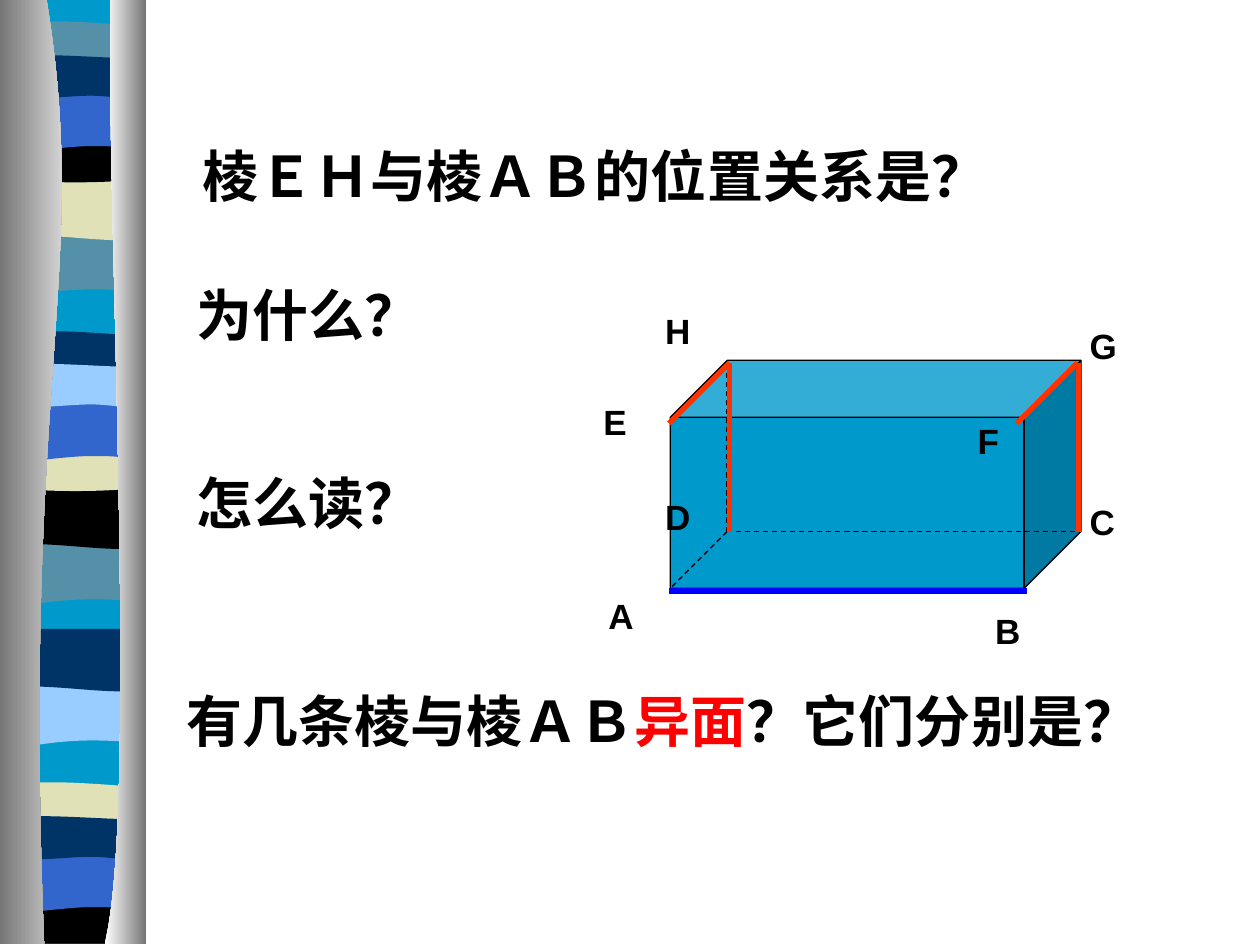
"""Build a slide asking about skew edges of a box, beside a striped ribbon."""
from typing import NamedTuple

from lxml.etree import SubElement
from pptx import Presentation
from pptx.dml.color import RGBColor
from pptx.enum.dml import MSO_LINE
from pptx.enum.shapes import MSO_CONNECTOR, MSO_SHAPE
from pptx.enum.text import MSO_ANCHOR, PP_ALIGN
from pptx.oxml.ns import qn
from pptx.util import Inches, Pt

HEX = {
    "black": "000000", "white": "FFFFFF", "grey": "767676", "red": "FF0000",
    "orange": "FF3300", "blue": "0000FF", "cyan": "0099CC", "teal": "5490A8",
    "sand": "E1E1B7", "royal": "3366CC", "navy": "003366", "sky": "99CCFF",
}
HAN, LATIN = "Noto Sans CJK SC", "Arial"
LEFT, RIGHT, FOOT = 0.05, 1.14, 7.49
UNITS = 1000

Point = tuple[float, float]
Part = tuple[Point, ...]


class Motif(NamedTuple):
    """Edges of a band, measured from its top: lower runs left, upper runs right."""
    depth: float
    lower: tuple[Part, ...] = ()
    upper: tuple[Part, ...] = (((RIGHT, 0),),)


class Band(NamedTuple):
    """One stripe of the ribbon."""
    motif: str
    top: float
    hue: str


class Edge(NamedTuple):
    """A straight line of the solid."""
    start: Point
    end: Point
    hue: str = "black"
    width: float = 0.75
    dash: bool = False


class Label(NamedTuple):
    """A letter at a corner of the solid."""
    text: str
    left: float
    top: float


class Line(NamedTuple):
    """A question made of runs with their colours."""
    runs: tuple[tuple[str, str], ...]
    left: float
    top: float
    width: float
    height: float = 0.64


CREST = ((0.72, 0.05), (0.92, 0), (RIGHT, 0))
MOTIFS = {
    "swell": Motif(0.47, (((0.39, 0.39), (0.23, 0.55), (LEFT, 0.47)),)),
    "tilt": Motif(0.47, (((0.96, 0.55), (0.39, 0.42), (LEFT, 0.47)),)),
    "thin": Motif(0.24, (((0.96, 0.29), (0.23, 0.29), (LEFT, 0.24)),),
                  (((0.12, -0.05), (0.29, -0.04), (0.47, -0.04)),
                   ((0.65, -0.04), (1, -0.01), (RIGHT, 0)))),
    "sag": Motif(0.33, (((0.96, 0.38), (0.24, 0.38), (LEFT, 0.33)),), (CREST,)),
    "arch": Motif(0.47, (((0.97, 0.42), (0.9, 0.42), (0.72, 0.42)),
                         ((0.54, 0.42), (0.22, 0.47), (LEFT, 0.47)))),
    "wave": Motif(0.3, (((1.07, 0.35), (0.9, 0.3), (0.72, 0.3)),
                        ((0.54, 0.3), (0.17, 0.35), (LEFT, 0.3))),
                  (((0.21, -0.05), (0.79, 0), (0.97, 0)), ((RIGHT, 0),))),
    "base": Motif(0.37, (((LEFT, 0.37),),), (CREST,)),
}
BANDS = (
    Band("swell", 1.85, "teal"), Band("tilt", 1.41, "sand"),
    Band("thin", 0.21, "teal"), Band("sag", 1.08, "black"),
    Band("arch", 0.74, "royal"), Band("wave", 0.46, "navy"),
    Band("swell", 4.31, "teal"), Band("tilt", 3.86, "black"),
    Band("thin", 2.67, "navy"), Band("sag", 3.53, "sand"),
    Band("arch", 3.2, "royal"), Band("wave", 2.91, "sky"),
    Band("swell", 5.43, "sky"), Band("tilt", 4.99, "navy"),
    Band("thin", 6.25, "sand"), Band("base", 7.12, "black"),
    Band("arch", 6.78, "royal"), Band("wave", 6.5, "navy"),
)
HIDDEN = tuple(Edge((5.77, 4.22), end, dash=True)
               for end in ((5.77, 2.86), (8.58, 4.22), (5.32, 4.67)))
MARKED = (
    Edge((5.79, 2.88), (5.79, 4.22), "orange", 3),
    Edge((8.56, 2.88), (8.56, 4.22), "orange", 3),
    Edge((5.31, 3.36), (5.79, 2.88), "orange", 3),
    Edge((8.07, 3.36), (8.55, 2.88), "orange", 3),
    Edge((5.31, 4.69), (8.15, 4.69), "blue", 3),
)
LABELS = (
    Label("A", 4.73, 4.67), Label("C", 8.55, 3.92), Label("B", 7.8, 4.79),
    Label("D", 5.18, 3.88), Label("F", 7.66, 3.28), Label("E", 4.69, 3.13),
    Label("H", 5.18, 2.41), Label("G", 8.55, 2.53),
)
TITLE = Line((("棱ＥＨ与棱ＡＢ的位置关系是？", "black"),), 1.51, 1.07, 6.95)
ASKS = (
    Line((("为什么？", "black"),), 1.46, 2.18, 1.9, 1.17),
    Line((("怎么读？", "black"),), 1.46, 3.67, 2.68),
    Line((("有几条棱与棱ＡＢ", "black"), ("异面", "red"),
          ("？它们分别是？", "black")), 1.38, 5.4, 8.11),
)


def tint(name: str) -> RGBColor:
    """Return a named colour."""
    return RGBColor.from_string(HEX[name])


def outline(slide, start: Point, parts: list[Part], top: float = 0):
    """Draw a closed shape of lines (one point) and curves (three points)."""
    dots = [(round(x * UNITS), round((y + top) * UNITS))
            for part in [(start,), *parts] for x, y in part]
    pen = slide.shapes.build_freeform(*dots[0], scale=Inches(1) / UNITS)
    pen.add_line_segments(dots[1:], close=True)
    shape = pen.convert_to_shape()
    steps = iter(list(shape._element.iter(qn("a:lnTo"))))
    for part in parts:
        first, *rest = [next(steps) for _ in part]
        if rest:
            first.tag = qn("a:cubicBezTo")
        for step in rest:
            first.append(step[0])
            step.getparent().remove(step)
    shape.shadow.inherit = False
    shape.line.fill.background()
    return shape


def stripe(slide, band: Band) -> None:
    """Draw one band of the ribbon."""
    motif = MOTIFS[band.motif]
    parts = [((RIGHT, motif.depth),), *motif.lower, ((LEFT, 0),), *motif.upper]
    shape = outline(slide, (RIGHT, 0), parts, band.top)
    shape.fill.solid()
    shape.fill.fore_color.rgb = tint(band.hue)


def curtain(slide, start: Point, curve: Part, side: float,
            hues: tuple[str, str]) -> None:
    """Draw a shaded panel at the side of the ribbon."""
    fill = outline(slide, start, [curve, ((side, FOOT),), ((side, 0),)]).fill
    fill.gradient()
    fill.gradient_angle = 0
    for stop, hue in zip(fill.gradient_stops, hues):
        stop.color.rgb = tint(hue)


def stroke(slide, edge: Edge) -> None:
    """Draw one straight edge."""
    ends = [Inches(v) for v in edge.start + edge.end]
    line = slide.shapes.add_connector(MSO_CONNECTOR.STRAIGHT, *ends)
    line.line.color.rgb = tint(edge.hue)
    line.line.width = Pt(edge.width)
    if edge.dash:
        line.line.dash_style = MSO_LINE.DASH
    SubElement(line._element.spPr, qn("a:effectLst"))


def write(box, runs: tuple[tuple[str, str], ...], size: int, face: str) -> None:
    """Fill a box with bold runs."""
    frame = box.text_frame
    frame.word_wrap = True
    frame.vertical_anchor = MSO_ANCHOR.TOP
    para = frame.paragraphs[0]
    para.alignment = PP_ALIGN.LEFT
    for text, hue in runs:
        run = para.add_run()
        run.text = text
        font = run.font
        font.size, font.bold, font.name = Pt(size), True, face
        font.color.rgb = tint(hue)
        SubElement(run._r.get_or_add_rPr(), qn("a:ea"), typeface=face)


def ask(box, line: Line) -> None:
    """Place a question and give it a hanging indent."""
    box.left, box.top = Inches(line.left), Inches(line.top)
    box.width, box.height = Inches(line.width), Inches(line.height)
    write(box, line.runs, 32, HAN)
    props = box.text_frame.paragraphs[0]._p.get_or_add_pPr()
    props.set("marL", str(Inches(0.67)))
    props.set("indent", str(Inches(-0.67)))


def main() -> None:
    """Build and save the slide."""
    deck = Presentation()
    deck.slide_width, deck.slide_height = Inches(10), Inches(7.5)
    slide = deck.slides.add_slide(deck.slide_layouts[5])
    ask(slide.shapes.title, TITLE)

    back = outline(slide, (RIGHT, 0),
                   [((RIGHT, FOOT),), ((LEFT, FOOT),), ((LEFT, 0),)])
    back.fill.solid()
    back.fill.fore_color.rgb = tint("cyan")
    for band in BANDS:
        stripe(slide, band)
    curtain(slide, (0.37, 0), ((0.72, 2.16), (0.17, 2.96), (0.35, FOOT)),
            0, ("grey", "white"))
    curtain(slide, (0.88, 0), ((0.83, 1.25), (1.11, 6.46), (0.83, FOOT)),
            1.16, ("white", "grey"))

    cube = slide.shapes.add_shape(
        MSO_SHAPE.CUBE, Inches(5.32), Inches(2.86), Inches(3.26), Inches(1.81))
    cube.shadow.inherit = False
    cube.fill.solid()
    cube.fill.fore_color.rgb = tint("cyan")
    cube.line.color.rgb = tint("black")
    cube.line.width = Pt(0.75)
    for edge in HIDDEN:
        stroke(slide, edge)
    for label in LABELS:
        box = slide.shapes.add_textbox(
            Inches(label.left), Inches(label.top), Inches(0.78), Inches(0.44))
        write(box, ((label.text, "black"),), 20, LATIN)
    for edge in MARKED:
        stroke(slide, edge)
    for line in ASKS:
        ask(slide.shapes.add_textbox(0, 0, 0, 0), line)
    deck.save("out.pptx")


if __name__ == "__main__":
    main()
